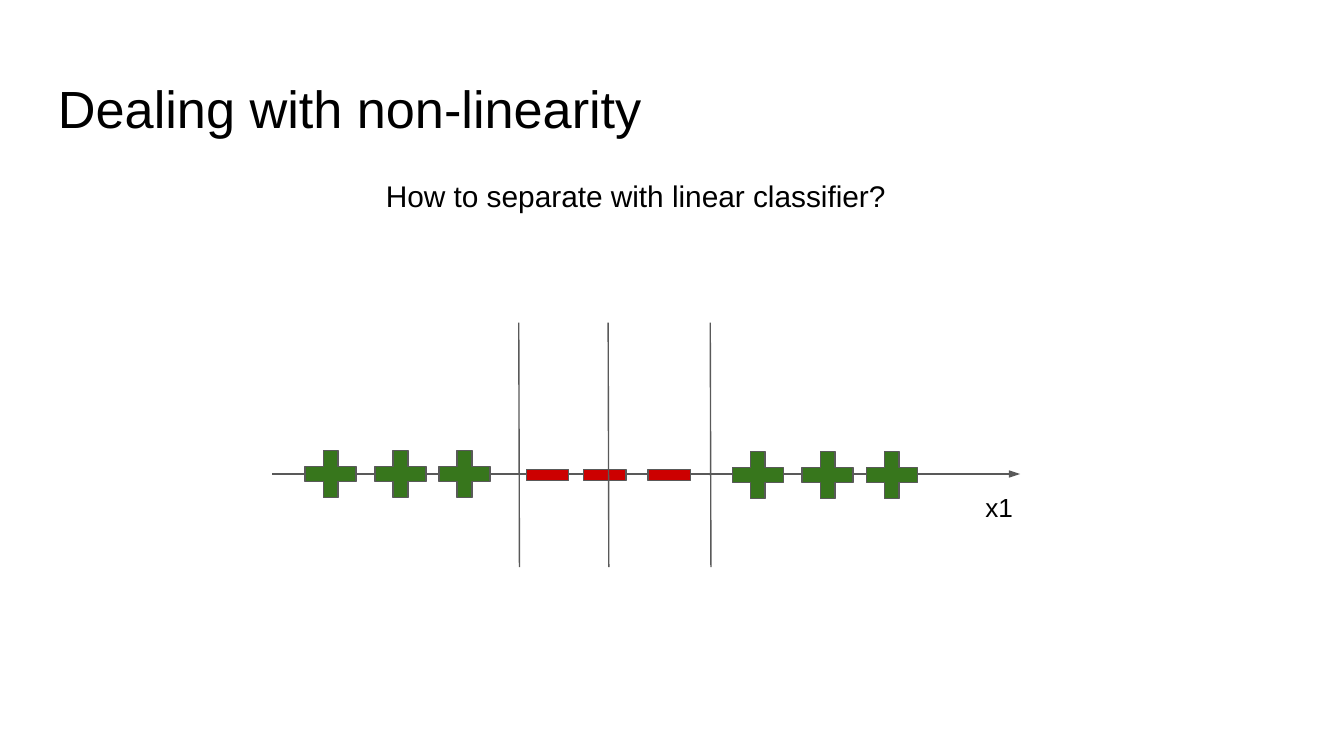
from lxml import etree
from pptx import Presentation
from pptx.dml.color import RGBColor
from pptx.enum.shapes import MSO_CONNECTOR, MSO_SHAPE
from pptx.enum.text import MSO_ANCHOR
from pptx.oxml.ns import qn
from pptx.util import Inches, Pt

BLACK = RGBColor(0x00, 0x00, 0x00)
GREY = RGBColor(0x59, 0x59, 0x59)
GREEN = RGBColor(0x37, 0x76, 0x1C)
RED = RGBColor(0xCC, 0x00, 0x00)


def cell(n):
    """Length of n grid cells; the slide is 100 columns by 56.25 rows."""
    return Inches(n / 10)


class Board:
    """Holds the style and the current slide."""
    font = "Arial"
    thin = 0.75

    def __init__(self, prs):
        self.shapes = prs.slides.add_slide(prs.slide_layouts[6]).shapes

    def text(self, text, col, row, cols, rows, size):
        tf = self.shapes.add_textbox(*map(cell, (col, row, cols, rows))).text_frame
        frame = {"word_wrap": False, "vertical_anchor": MSO_ANCHOR.TOP,
                 "margin_left": cell(0.12), "margin_top": cell(0.15),
                 "margin_right": 0, "margin_bottom": 0}
        for name, value in frame.items():
            setattr(tf, name, value)
        p = tf.paragraphs[0]
        p.space_before = Pt(1)
        r = p.add_run()
        r.text = text
        for name, value in {"name": self.font, "size": Pt(size)}.items():
            setattr(r.font, name, value)
        r.font.color.rgb = BLACK

    def paint(self, sp, color):
        sp.shadow.inherit = False
        sp.fill.solid()
        sp.fill.fore_color.rgb = color
        sp.line.color.rgb = GREY
        sp.line.width = Pt(self.thin)

    def plus(self, x, y):
        """Plus sign centred on column x, row y."""
        w, h, arm_w, arm_h = 1.9, 1.75, 0.55, 0.55
        quarter = [(arm_w, h), (arm_w, arm_h), (w, arm_h)]
        points = []
        for sx, sy in ((1, -1), (1, 1), (-1, 1), (-1, -1)):
            corner = quarter if sx * sy < 0 else quarter[::-1]
            points += [(cell(x + sx * dx), cell(y + sy * dy)) for dx, dy in corner]
        fb = self.shapes.build_freeform(*points[0])
        fb.add_line_segments(points[1:], close=True)
        self.paint(fb.convert_to_shape(), GREEN)

    def minus(self, x, y):
        """Minus sign centred on column x, row y."""
        w, h = 3.15, 0.83
        sp = self.shapes.add_shape(
            MSO_SHAPE.RECTANGLE, *map(cell, (x - w / 2, y - h / 2, w, h)))
        self.paint(sp, RED)

    def line(self, x1, y1, x2, y2, width=thin, arrow=False):
        cx = self.shapes.add_connector(
            MSO_CONNECTOR.STRAIGHT, *map(cell, (x1, y1, x2, y2)))
        cx.line.color.rgb = GREY
        cx.line.width = Pt(width)
        props = cx.element.spPr
        if arrow:
            etree.SubElement(props.find(qn("a:ln")), qn("a:tailEnd"),
                             type="triangle", w="sm", len="med")
        etree.SubElement(props, qn("a:effectLst"))


def main():
    prs = Presentation()
    prs.slide_width, prs.slide_height = cell(100), cell(56.25)
    s = Board(prs)

    # Title and question
    s.text("Dealing with non-linearity", 4.2, 5.5, 43.7, 4.9, 28)
    s.text("How to separate with linear classifier?", 28.6, 13.1, 37.6, 2.9, 16)

    # Axis
    s.line(20.25, 35.27, 75.9, 35.27, width=1.19, arrow=True)
    s.text("x1", 73.2, 36.4, 2.3, 2.6, 14)

    # Two groups of positive samples, spaced alike
    for x, y in ((24.6, 35.27), (56.38, 35.35)):
        for step in (0, 5.2, 9.97):
            s.plus(x + step, y)

    # Negative samples between them
    for x in (40.75, 45, 49.8):
        s.minus(x, 35.35)

    # Candidate separators
    for x in (38.6, 45.25, 52.85):
        s.line(x, 24, x + 0.05, 42.2)

    prs.save("out.pptx")


if __name__ == "__main__":
    main()
